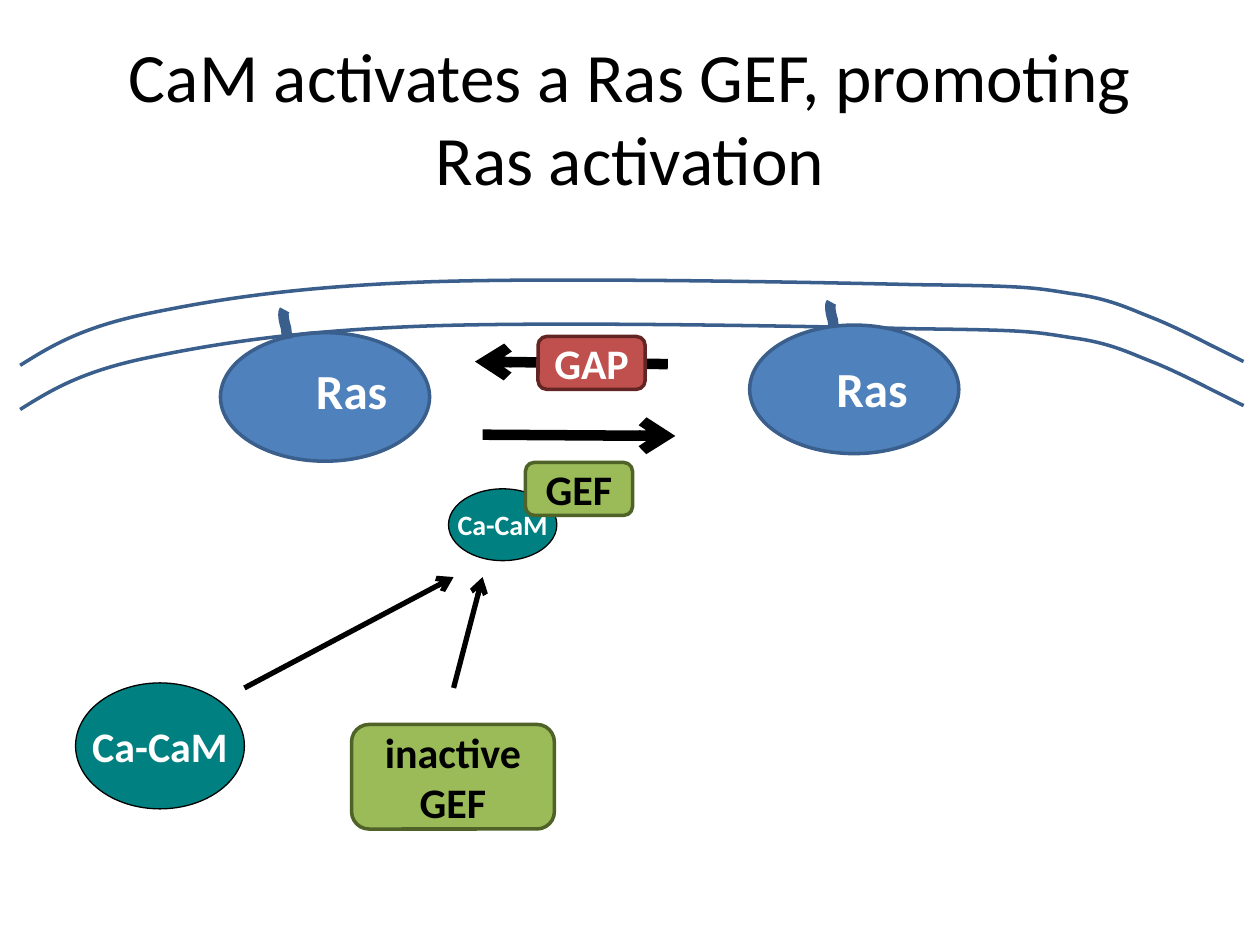
from lxml.etree import Element, SubElement
from pptx import Presentation
from pptx.dml.color import RGBColor
from pptx.enum.shapes import MSO_CONNECTOR, MSO_SHAPE
from pptx.enum.text import MSO_ANCHOR, PP_ALIGN
from pptx.oxml.ns import qn
from pptx.util import Inches, Pt

BLACK = RGBColor(0x00, 0x00, 0x00)
WHITE = RGBColor(0xFF, 0xFF, 0xFF)
TEAL = RGBColor(0x00, 0x80, 0x80)
BLUE = RGBColor(0x4F, 0x81, 0xBD)
DARK_BLUE = RGBColor(0x3A, 0x5F, 0x8C)
GREEN = RGBColor(0x9B, 0xBB, 0x59)
DARK_GREEN = RGBColor(0x4F, 0x62, 0x28)
RED = RGBColor(0xC0, 0x50, 0x4D)
DARK_RED = RGBColor(0x63, 0x25, 0x23)

COLUMNS, ROWS = 100, 75
CELL = Inches(10) / COLUMNS

TITLE = "CaM activates a Ras GEF, promoting Ras activation"
TITLE_BOX = (5, 3, 90, 12.5)

MEMBRANE = [
    (1.6, 29), (4, 27.5), (6.4, 26), (11.7, 24.9), (17, 23.8), (23.1, 22.8),
    (33.3, 22.4), (43.5, 22), (64.2, 22.4), (72.8, 22.6), (81.4, 22.7),
    (81.9, 22.8), (85, 23.3), (88.1, 23.7), (89.6, 24.5), (91.4, 25.2),
    (93.2, 25.9), (95.9, 27.3), (95.9, 27.3),
]
MEMBRANE_END = [(98.7, 28.7)]
OUTER_LEAFLET, INNER_LEAFLET = 0, 3.5

LIPID_TAIL = [
    (0.3, 2.3), (0.3, 2), (0.2, 1.7), (0.2, 1.4), (0.1, 1.1),
    (0, 0.7), (0, 0.4), (0, 0.2), (0, 0.1), (0.1, 0),
]

RAS_SIZE = (16.6, 10.2)
RAS_LABEL_SIZE = (7.7, 5.7)
RAS_LEFT = {"body": (17.5, 26.4), "tail": (22.5, 24.6)}
RAS_RIGHT = {"body": (59.5, 25.8), "tail": (65.9, 24)}
RAS_LABELS = [(24.1, 28.1), (65.4, 28)]

BOUND_CAM = ("Ca-CaM", (35.6, 38.8, 8.6, 5.7), 16)
FREE_CAM = ("Ca-CaM", (6, 54.2, 13.4, 10), 24)
REGULATORS = [
    ("inactive GEF", (27.9, 57.5, 16.1, 8.3), GREEN, DARK_GREEN, BLACK),
    ("GAP", (42.7, 26.7, 8.5, 4.2), RED, DARK_RED, WHITE),
    ("GEF", (41.7, 36.7, 8.5, 4.2), GREEN, DARK_GREEN, BLACK),
]
ARROWS = [
    ((38.3, 34.5), (53.6, 34.6), 6, "a:tailEnd"),
    ((37.7, 28.7), (53, 28.9), 6, "a:headEnd"),
    ((19.4, 54.6), (36, 45.8), 3, "a:tailEnd"),
    ((36, 54.6), (38.3, 45.8), 3, "a:tailEnd"),
]


def cells(*values):
    return [round(value * CELL) for value in values]


def write(frame, text, size, color=BLACK, bold=True, align=PP_ALIGN.CENTER,
          anchor=MSO_ANCHOR.MIDDLE, wrap=True):
    frame.word_wrap = wrap
    frame.vertical_anchor = anchor
    paragraph = frame.paragraphs[0]
    paragraph.alignment = align
    run = paragraph.add_run()
    run.text = text
    run.font.name = "Calibri"
    run.font.size = Pt(size)
    run.font.bold = bold
    run.font.color.rgb = color


def add_solid(shapes, preset, box, fill, line, width):
    solid = shapes.add_shape(preset, *cells(*box))
    solid.shadow.inherit = False
    solid.fill.solid()
    solid.fill.fore_color.rgb = fill
    solid.line.color.rgb = line
    solid.line.width = Pt(width)
    return solid


def add_curve(shapes, controls, offset, width, straight_end=()):
    placed = [cells(x + offset[0], y + offset[1]) for x, y in [*controls, *straight_end]]
    builder = shapes.build_freeform(*placed[0], scale=1.0)
    builder.add_line_segments(placed[1:], close=False)
    curve = builder.convert_to_shape()
    segments = list(curve._element.spPr.iter(qn("a:lnTo")))
    for first in range(0, len(controls) - 1, 3):
        bezier = Element(qn("a:cubicBezTo"))
        segments[first].addprevious(bezier)
        for segment in segments[first:first + 3]:
            bezier.append(segment[0])
            segment.getparent().remove(segment)
    curve.shadow.inherit = False
    curve.fill.background()
    curve.line.color.rgb = DARK_BLUE
    curve.line.width = Pt(width)


def add_leaflet(shapes, drop):
    add_curve(shapes, MEMBRANE, (0, drop), 2, straight_end=MEMBRANE_END)


def add_ras(shapes, places, order):
    ras = shapes.add_group_shape().shapes
    for part in order:
        if part == "body":
            add_solid(ras, MSO_SHAPE.OVAL, places[part] + RAS_SIZE, BLUE, DARK_BLUE, 2)
        else:
            add_curve(ras, LIPID_TAIL, places[part], 6)


def add_cam(shapes, text, box, size):
    cam = add_solid(shapes, MSO_SHAPE.OVAL, box, TEAL, BLACK, 0.75)
    write(cam.text_frame, text, size, color=WHITE, wrap=False)


def add_arrow(shapes, start, end, width, pointed_end):
    arrow = shapes.add_connector(MSO_CONNECTOR.STRAIGHT, *cells(*start, *end))
    arrow.line.color.rgb = BLACK
    arrow.line.width = Pt(width)
    properties = arrow._element.spPr
    SubElement(properties.find(qn("a:ln")), qn(pointed_end), type="arrow")
    SubElement(properties, qn("a:effectLst"))


def main():
    deck = Presentation()
    deck.slide_width, deck.slide_height = cells(COLUMNS, ROWS)
    slide = deck.slides.add_slide(deck.slide_layouts[5])
    shapes = slide.shapes

    title = shapes.title
    title.left, title.top, title.width, title.height = cells(*TITLE_BOX)
    write(title.text_frame, TITLE, 39.6, bold=False)

    add_cam(shapes, *BOUND_CAM)
    add_ras(shapes, RAS_LEFT, ("body", "tail"))
    add_leaflet(shapes, INNER_LEAFLET)
    add_ras(shapes, RAS_RIGHT, ("tail", "body"))
    add_leaflet(shapes, OUTER_LEAFLET)

    for place in RAS_LABELS:
        label = shapes.add_textbox(*cells(*place, *RAS_LABEL_SIZE))
        write(label.text_frame, "Ras", 28, color=WHITE, align=PP_ALIGN.LEFT,
              anchor=MSO_ANCHOR.TOP, wrap=False)

    for arrow in ARROWS:
        add_arrow(shapes, *arrow)

    for text, box, fill, line, color in REGULATORS:
        regulator = add_solid(shapes, MSO_SHAPE.ROUNDED_RECTANGLE, box, fill, line, 2)
        write(regulator.text_frame, text, 24, color=color)

    add_cam(shapes, *FREE_CAM)
    deck.save("out.pptx")


if __name__ == "__main__":
    main()
